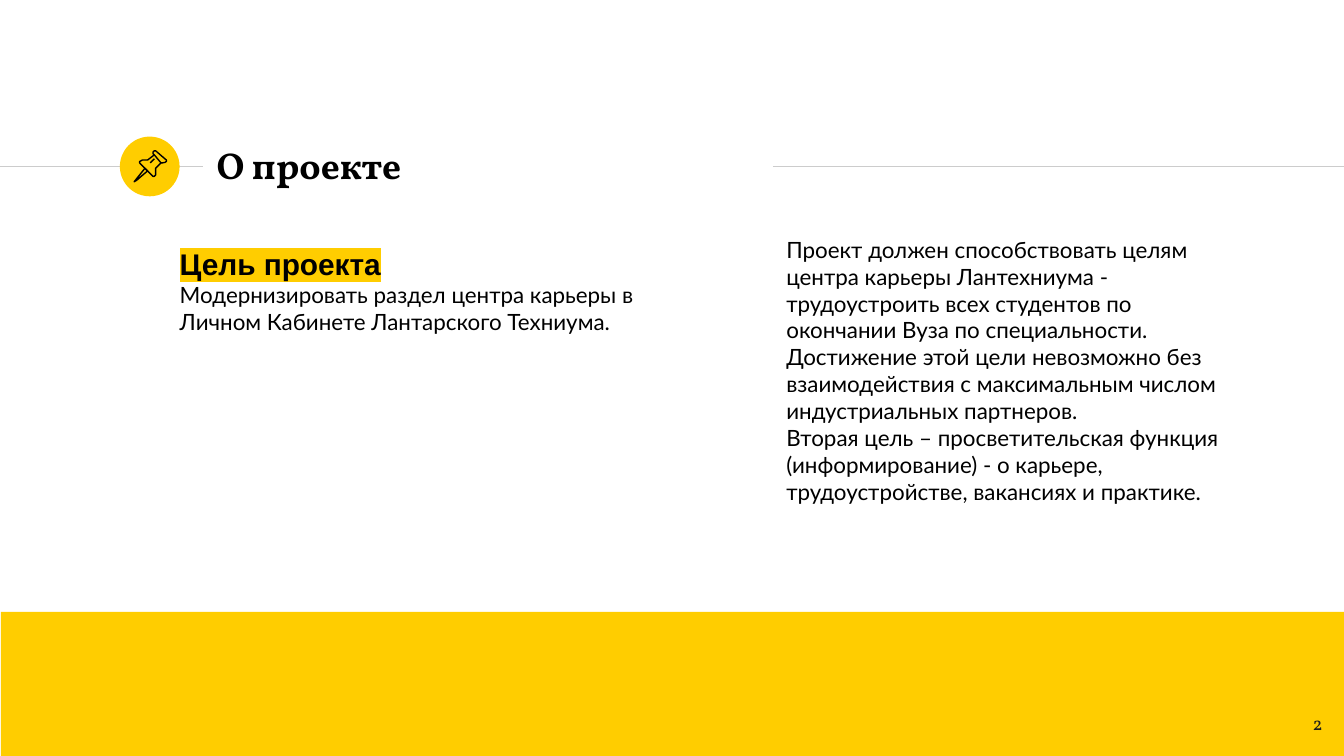
from lxml import etree
from pptx import Presentation
from pptx.dml.color import RGBColor
from pptx.enum import shapes, text
from pptx.oxml.ns import qn
from pptx.util import Pt

YELLOW = RGBColor(0xFF, 0xCD, 0x00)
GREY = RGBColor(0xCC, 0xCC, 0xCC)
BLACK = RGBColor(0x00, 0x00, 0x00)
INK = RGBColor(0x1D, 0x1D, 0x1B)

WIDTH, HEIGHT = 720, 405
PADDING = 7.2

NEEDLE = [(5.8, 9.4), (0.7, 15.8), (0, 16.6), (1.4, 15.8), (7.2, 10.8)]
CAP = [(10.8, 2.2), (14.4, 6.5), (15.1, 6.5), (16.6, 6.2), (17.3, 5.6),
       (17.3, 5), (11.5, 0), (10.8, 0), (10.1, 0.7), (10.1, 1.6)]
BODY = [(10.8, 2.2), (7.2, 5), (4.3, 5), (2.9, 5.8), (2.9, 6.5), (10.1, 13.7),
        (10.8, 13.7), (11.5, 13), (11.5, 9.4), (14.4, 6.5)]
CREASE = [(8.6, 6.5), (10.8, 4.3)]


def write(paragraph, content, font="Lato", size=12, color=BLACK, bold=False,
          highlight=None, align=text.PP_ALIGN.LEFT):
    paragraph.alignment = align
    run = paragraph.add_run()
    run.text = content
    run.font.name = font
    run.font.size = Pt(size)
    run.font.bold = bold
    run.font.color.rgb = color
    if highlight is not None:
        mark = etree.Element(qn("a:highlight"))
        etree.SubElement(mark, qn("a:srgbClr"), val=str(highlight))
        run.font._element.find(qn("a:solidFill")).addnext(mark)


def set_frame(frame, anchor=text.MSO_ANCHOR.TOP):
    frame.word_wrap = True
    frame.auto_size = text.MSO_AUTO_SIZE.NONE
    frame.vertical_anchor = anchor
    frame.margin_left = frame.margin_right = Pt(PADDING)
    frame.margin_top = frame.margin_bottom = Pt(PADDING)


def add_text(slide, left, top, width, height, paragraphs):
    frame = slide.shapes.add_textbox(Pt(left), Pt(top), Pt(width), Pt(height)).text_frame
    set_frame(frame)
    for index, (content, style) in enumerate(paragraphs):
        paragraph = frame.add_paragraph() if index else frame.paragraphs[0]
        write(paragraph, content, **style)


def add_rule(slide, start, end, y):
    rule = slide.shapes.add_connector(
        shapes.MSO_CONNECTOR.STRAIGHT, Pt(start), Pt(y), Pt(end), Pt(y))
    rule.line.color.rgb = GREY
    rule.line.width = Pt(0.75)
    etree.SubElement(rule._element.spPr, qn("a:effectLst"))


def add_block(slide, kind, left, top, width, height):
    block = slide.shapes.add_shape(kind, Pt(left), Pt(top), Pt(width), Pt(height))
    block.shadow.inherit = False
    block.fill.solid()
    block.fill.fore_color.rgb = YELLOW
    block.line.fill.background()


def add_pin(slide, left, top):
    group = slide.shapes.add_group_shape()
    for outline, closed in ((NEEDLE, True), (CAP, True), (BODY, False), (CREASE, False)):
        points = [(Pt(x), Pt(y)) for x, y in outline]
        builder = group.shapes.build_freeform(*points[0])
        builder.add_line_segments(points[1:], close=closed)
        stroke = builder.convert_to_shape(Pt(left), Pt(top))
        stroke.shadow.inherit = False
        stroke.fill.background()
        stroke.line.color.rgb = BLACK
        stroke.line.width = Pt(0.75)


def add_heading(slide, left, top, width, height, content):
    middle = top + height / 2
    badge = 32
    title_left, title_width, title_height = left + 44.6, 305.3, 34.6
    add_rule(slide, 0, title_left, middle)
    add_rule(slide, title_left + title_width, left + width, middle)
    add_block(slide, shapes.MSO_SHAPE.OVAL, left, middle - badge / 2, badge, badge)
    add_pin(slide, left + 7.7, middle - 8.4)
    title = slide.shapes.title
    title.left, title.top = Pt(title_left), Pt(top - 2.6)
    title.width, title.height = Pt(title_width), Pt(title_height)
    set_frame(title.text_frame, text.MSO_ANCHOR.MIDDLE)
    write(title.text_frame.paragraphs[0], content, font="Vollkorn", size=20, bold=True)


def add_footer(slide, left, top, width, height, number):
    add_block(slide, shapes.MSO_SHAPE.RECTANGLE, left, top, width, height)
    add_text(slide, left + width - 47.5, top + height - 31, 43.2, 31, [
        (number, dict(font="Vollkorn", size=10, color=INK, align=text.PP_ALIGN.RIGHT))])


def main():
    presentation = Presentation()
    presentation.slide_width, presentation.slide_height = Pt(WIDTH), Pt(HEIGHT)
    slide = presentation.slides.add_slide(presentation.slide_layouts[5])
    add_footer(slide, 0.5, 327.8, WIDTH - 0.5, HEIGHT - 327.8, "2")
    add_heading(slide, 64.2, 73.2, WIDTH - 64.2, 32, "О проекте")
    add_text(slide, 89.2, 124.3, 265, 173.5, [
        ("Цель проекта", dict(font="Arial", size=16, bold=True, highlight=YELLOW)),
        ("Модернизировать раздел центра карьеры в Личном Кабинете "
         "Лантарского Техниума.", {})])
    add_text(slide, 414.2, 119.2, 254.2, 173.5, [
        ("Проект должен способствовать целям центра карьеры Лантехниума - "
         "трудоустроить всех студентов по окончании Вуза по специальности. "
         "Достижение этой цели невозможно без взаимодействия с максимальным "
         "числом индустриальных партнеров.", {}),
        ("Вторая цель – просветительская функция (информирование) - о карьере, "
         "трудоустройстве, вакансиях и практике.", {})])
    presentation.save("out.pptx")


if __name__ == "__main__":
    main()
